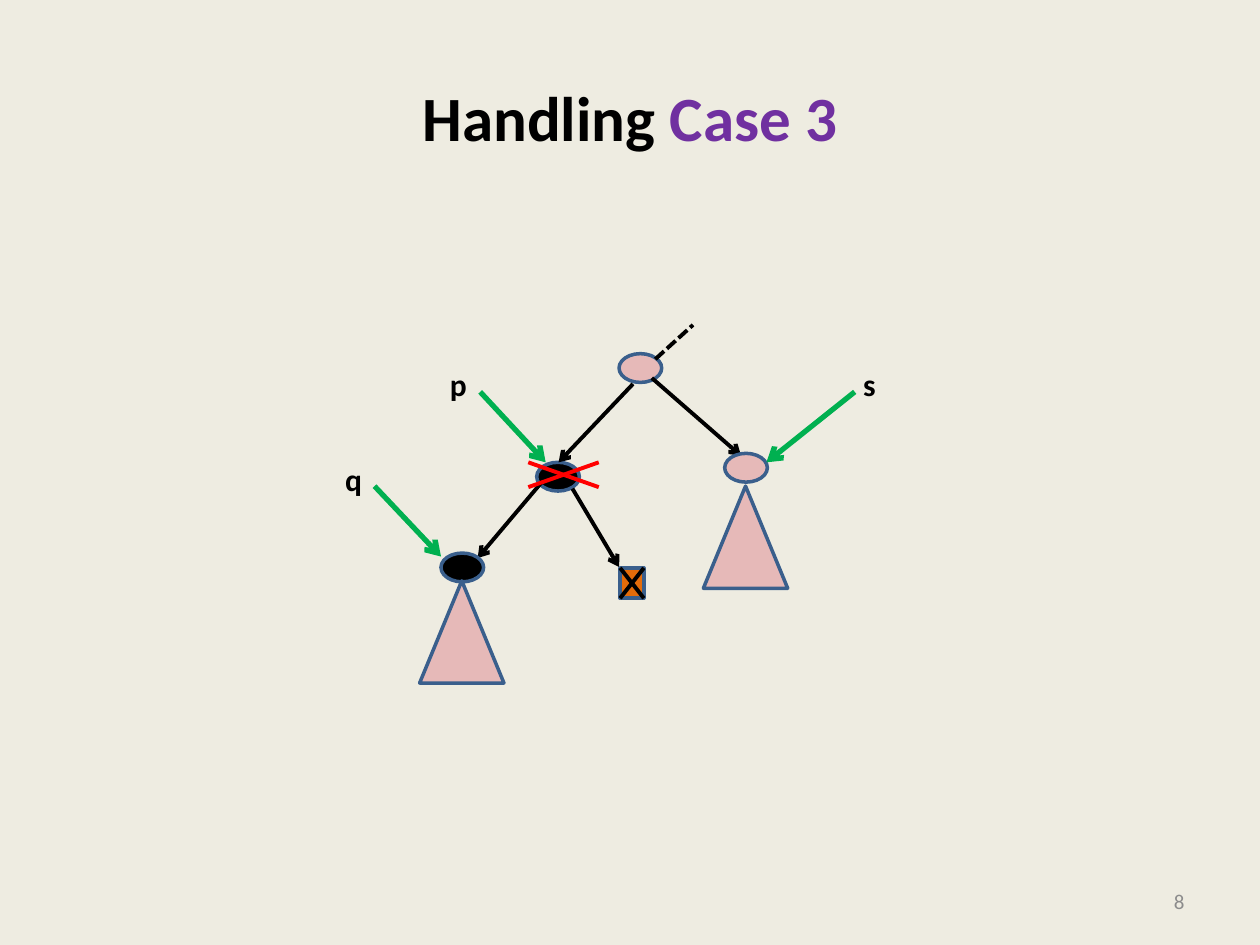
from pptx import Presentation
from pptx.dml.color import RGBColor
from pptx.enum import dml, shapes, text
from pptx.oxml.ns import qn
from pptx.util import Cm, Pt
from lxml import etree

COLORS = {
    "background": "EEECE1", "ink": "000000", "case": "7030A0", "number": "8C8C8C",
    "outline": "3A5F8C", "pink": "E6B9B8", "orange": "E46C0A",
    "pointer": "00B050", "strike": "FF0000",
}
FONT = "Calibri"
NODE = (0.86, 0.58)
SUBTREE = (1.7, 2.06)
LEAF = (0.48, 0.61)


def rgb(name):
    return RGBColor.from_string(COLORS[name])


def style_text(font, size, color, bold=False):
    font.name, font.size, font.bold = FONT, Pt(size), bold
    font.color.rgb = rgb(color)


def add_part(slide, kind, box, at, size, fill):
    """Add an outlined shape at a position relative to the box."""
    part = slide.shapes.add_shape(
        kind, Cm(box[0] + at[0]), Cm(box[1] + at[1]), Cm(size[0]), Cm(size[1]))
    part.shadow.inherit = False
    part.fill.solid()
    part.fill.fore_color.rgb = rgb(fill)
    part.line.color.rgb = rgb("outline")
    part.line.width = Pt(2)


def add_line(slide, box, start, end, color="ink", width=2.25, arrow=False, dash=None):
    """Add a straight line between two points relative to the box."""
    points = [Cm(origin + offset) for point in (start, end)
              for origin, offset in zip(box, point)]
    connector = slide.shapes.add_connector(shapes.MSO_CONNECTOR.STRAIGHT, *points)
    connector.line.color.rgb = rgb(color)
    connector.line.width = Pt(width)
    if dash:
        connector.line.dash_style = dash
    if arrow:
        etree.SubElement(connector.line._get_or_add_ln(), qn("a:tailEnd"), type="arrow")
    etree.SubElement(connector._element.spPr, qn("a:effectLst"))


def add_cross(slide, box, at, size, color):
    left, top = at
    right, bottom = left + size[0], top + size[1]
    add_line(slide, box, (left, bottom), (right, top), color)
    add_line(slide, box, (left, top), (right, bottom), color)


def add_pointer(slide, box, label, label_at, start, end):
    """Add a variable name and the green arrow to its node."""
    name = slide.shapes.add_textbox(
        Cm(box[0] + label_at[0]), Cm(box[1] + label_at[1]), Cm(0.86), Cm(1.02))
    name.text_frame.word_wrap = False
    paragraph = name.text_frame.paragraphs[0]
    paragraph.text = label
    style_text(paragraph.font, 18, "ink", True)
    add_line(slide, box, start, end, "pointer", 3, arrow=True)


def add_title(slide, box):
    title = slide.shapes.title
    title.left, title.top, title.width, title.height = map(Cm, box)
    title.text_frame.vertical_anchor = text.MSO_ANCHOR.MIDDLE
    paragraph = title.text_frame.paragraphs[0]
    paragraph.alignment = text.PP_ALIGN.CENTER
    for words, color in (("Handling ", "ink"), ("Case 3", "case")):
        run = paragraph.add_run()
        run.text = words
        style_text(run.font, 36, color, True)


def add_tree(slide, box):
    oval, triangle = shapes.MSO_SHAPE.OVAL, shapes.MSO_SHAPE.ISOSCELES_TRIANGLE
    leaf_at = (5.79, 4.9)

    add_part(slide, oval, box, (5.77, 0.58), NODE, "pink")
    add_part(slide, oval, box, (4.11, 2.77), NODE, "ink")
    edges = [
        ((6.05, 1.19), (4.55, 2.77)),
        ((6.43, 1.07), (8.23, 2.64)),
        ((4.27, 3.1), (2.92, 4.7)),
        ((4.83, 3.3), (5.77, 4.88)),
    ]
    for start, end in edges:
        add_line(slide, box, start, end, arrow=True)
    add_line(slide, box, (6.5, 0.69), (7.26, 0), dash=dml.MSO_LINE.SQUARE_DOT)

    add_part(slide, shapes.MSO_SHAPE.RECTANGLE, box, leaf_at, LEAF, "orange")
    add_cross(slide, box, leaf_at, LEAF, "ink")
    for node_at, subtree_at, fill in (
            ((2.18, 4.6), (1.75, 5.16), "ink"), ((7.9, 2.59), (7.47, 3.25), "pink")):
        add_part(slide, oval, box, node_at, NODE, fill)
        add_part(slide, triangle, box, subtree_at, SUBTREE, "pink")

    add_pointer(slide, box, "p", (2.11, 0.69), (2.97, 1.35), (4.29, 2.77))
    add_pointer(slide, box, "q", (0, 2.59), (0.84, 3.25), (2.18, 4.67))
    add_pointer(slide, box, "s", (10.44, 0.69), (10.52, 1.35), (8.74, 2.77))
    add_cross(slide, box, (3.94, 2.77), (1.42, 0.5), "strike")


def add_slide_number(slide, box):
    number = slide.shapes.add_textbox(*map(Cm, box))
    number.text_frame.word_wrap = True
    number.text_frame.vertical_anchor = text.MSO_ANCHOR.MIDDLE
    paragraph = number.text_frame.paragraphs[0]
    paragraph.text = "8"
    paragraph.alignment = text.PP_ALIGN.RIGHT
    style_text(paragraph.font, 12, "number")


def main():
    deck = Presentation()
    deck.slide_width, deck.slide_height = Cm(25.4), Cm(19.05)
    slide = deck.slides.add_slide(deck.slide_layouts[5])
    slide.background.fill.solid()
    slide.background.fill.fore_color.rgb = rgb("background")
    add_title(slide, (1.27, 0.76, 22.86, 3.18))
    add_tree(slide, (6.71, 6.55))
    add_slide_number(slide, (18.21, 17.65, 5.92, 1.02))
    deck.save("out.pptx")


if __name__ == "__main__":
    main()
